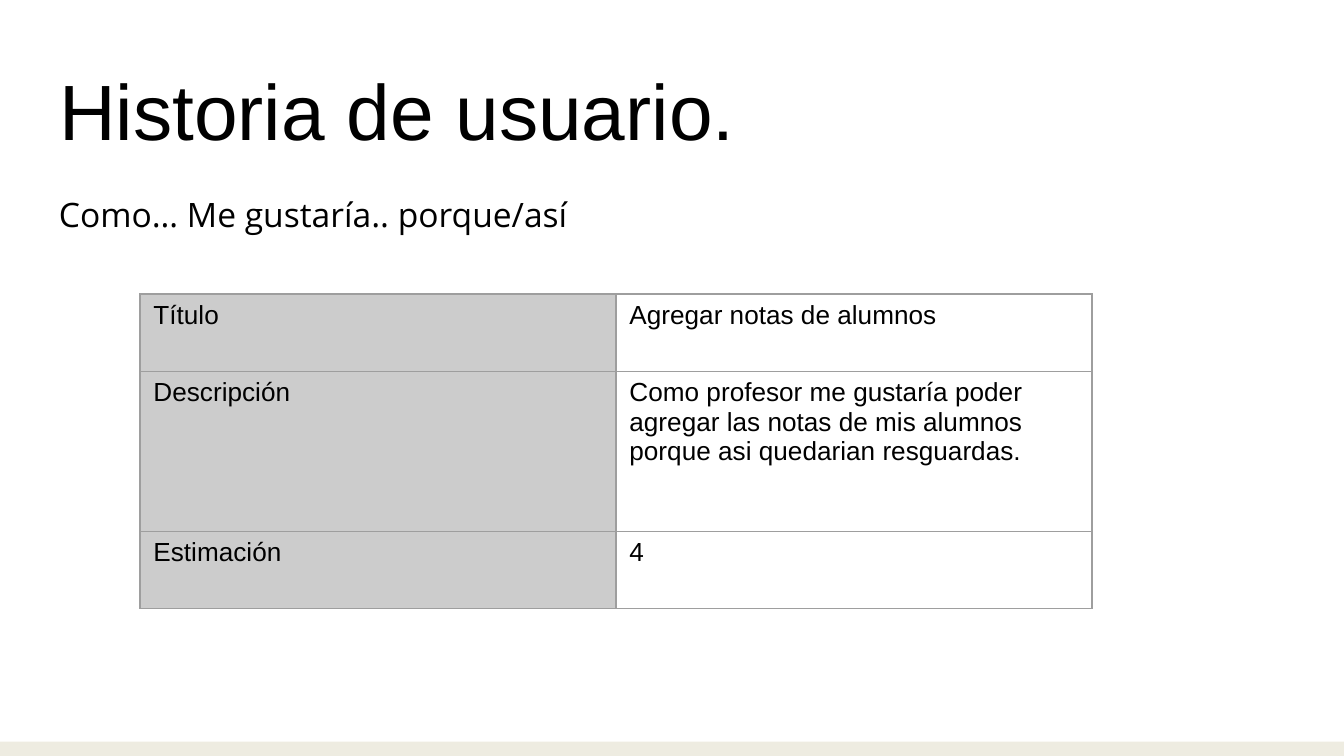
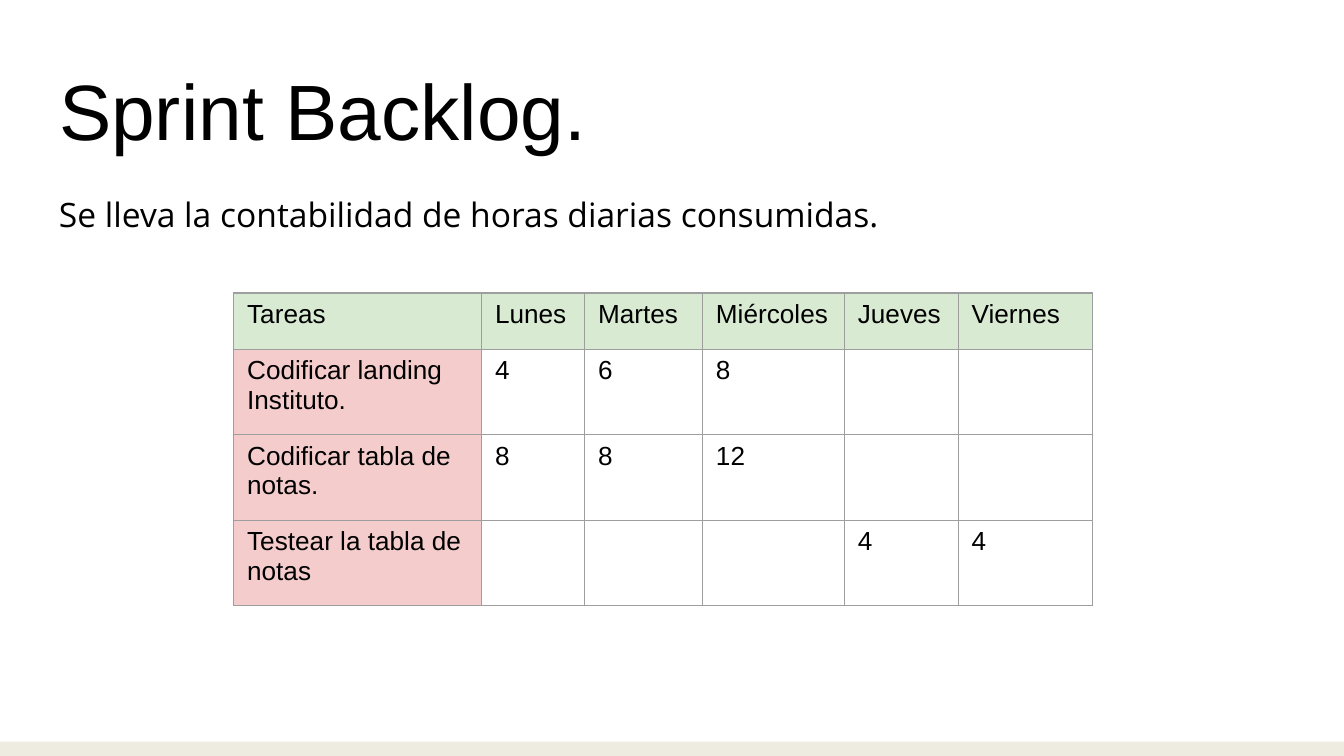
from lxml import etree
from pptx import Presentation
from pptx.dml.color import RGBColor
from pptx.enum import shapes, text
from pptx.oxml import ns
from pptx.util import Pt

COLORS = {
    "text": "000000",
    "band": "EEECE1",
    "border": "9E9E9E",
    "label": "CCCCCC",
    "day": "D9EAD3",
    "task": "F4CCCC",
}
HEADING_FONT, BODY_FONT = "Arial", "Open Sans"
SLIDE_WIDTH, SLIDE_HEIGHT = 720, 405
BAND_HEIGHT = 7.75
TITLE_BOX = (24.5, 25.2, 671, 65.5)
SUBTITLE_BOX = (24.5, 96.5, 671, 264)

STORY_ROWS = [
    ["Título", "Agregar notas de alumnos"],
    ["Descripción", "Como profesor me gustaría poder agregar las notas de mis "
                    "alumnos porque asi quedarian resguardas."],
    ["Estimación", "4"],
]
BACKLOG_ROWS = [
    ["Tareas", "Lunes", "Martes", "Miércoles", "Jueves", "Viernes"],
    ["Codificar landing Instituto.", "4", "6", "8", "", ""],
    ["Codificar tabla de notas.", "8", "8", "12", "", ""],
    ["Testear la tabla de notas", "", "", "", "4", "4"],
]


def rgb(name):
    return RGBColor.from_string(COLORS[name])


def write_text(text_frame, content, size, font):
    text_frame.word_wrap = True
    text_frame.text = content
    paragraph = text_frame.paragraphs[0]
    paragraph.alignment = text.PP_ALIGN.LEFT
    for run in paragraph.runs:
        run.font.size = Pt(size)
        run.font.name = font
        run.font.color.rgb = rgb("text")


def set_margins(frame, horizontal, vertical):
    """Set the insets of a text frame or a table cell."""
    frame.margin_left = frame.margin_right = Pt(horizontal)
    frame.margin_top = frame.margin_bottom = Pt(vertical)


def add_band(slide, left, top, width, height):
    band = slide.shapes.add_shape(
        shapes.MSO_SHAPE.RECTANGLE, Pt(left), Pt(top), Pt(width), Pt(height))
    band.shadow.inherit = False
    band.fill.solid()
    band.fill.fore_color.rgb = rgb("band")
    band.line.fill.background()


def place_title(slide, content, left, top, width, height):
    title = slide.shapes.title
    title.left, title.top = Pt(left), Pt(top)
    title.width, title.height = Pt(width), Pt(height)
    text_frame = title.text_frame
    write_text(text_frame, content, 42, HEADING_FONT)
    set_margins(text_frame, 7.2, 7.2)
    text_frame.auto_size = text.MSO_AUTO_SIZE.NONE
    text_frame.vertical_anchor = text.MSO_ANCHOR.BOTTOM


def add_subtitle(slide, content, left, top, width, height):
    box = slide.shapes.add_textbox(Pt(left), Pt(top), Pt(width), Pt(height))
    write_text(box.text_frame, content, 18, BODY_FONT)
    set_margins(box.text_frame, 7.2, 7.2)


def add_borders(cell):
    properties = cell._tc.get_or_add_tcPr()
    for side in ("a:lnL", "a:lnR", "a:lnT", "a:lnB"):
        line = etree.SubElement(properties, ns.qn(side), w=str(Pt(0.75)))
        fill = etree.SubElement(line, ns.qn("a:solidFill"))
        etree.SubElement(fill, ns.qn("a:srgbClr"), val=COLORS["border"])


def add_grid(slide, rows, left, top, widths, heights, fill_name):
    """Add a table; fill_name(row, column) gives a colour name or None."""
    frame = slide.shapes.add_table(
        len(heights), len(widths), Pt(left), Pt(top),
        Pt(sum(widths)), Pt(sum(heights)))
    table = frame.table
    table.first_row = table.horz_banding = False
    for column, width in zip(table.columns, widths):
        column.width = Pt(width)
    for row, height in zip(table.rows, heights):
        row.height = Pt(height)

    for row_index, row in enumerate(rows):
        for column_index, content in enumerate(row):
            cell = table.cell(row_index, column_index)
            set_margins(cell, 7.2, 3.6)
            write_text(cell.text_frame, content, 14, HEADING_FONT)
            add_borders(cell)
            name = fill_name(row_index, column_index)
            if name:
                cell.fill.solid()
                cell.fill.fore_color.rgb = rgb(name)
            else:
                cell.fill.background()


def story_fill(row, column):
    return "label" if column == 0 else None


def backlog_fill(row, column):
    if row == 0:
        return "day"
    return "task" if column == 0 else None


def add_content_slide(presentation, title, subtitle):
    """Add a slide with the shared band, title and subtitle."""
    slide = presentation.slides.add_slide(
        presentation.slide_layouts.get_by_name("Title Only"))
    add_band(slide, 0, SLIDE_HEIGHT - BAND_HEIGHT, SLIDE_WIDTH, BAND_HEIGHT)
    place_title(slide, title, *TITLE_BOX)
    add_subtitle(slide, subtitle, *SUBTITLE_BOX)
    return slide


def main():
    presentation = Presentation()
    presentation.slide_width = Pt(SLIDE_WIDTH)
    presentation.slide_height = Pt(SLIDE_HEIGHT)

    story = add_content_slide(
        presentation, "Historia de usuario.", "Como… Me gustaría.. porque/así")
    add_grid(story, STORY_ROWS, 75, 157.5, [255] * 2, [41.5, 85.7, 41.5],
             story_fill)

    backlog = add_content_slide(
        presentation, "Sprint Backlog.",
        "Se lleva la contabilidad de horas diarias consumidas.")
    add_grid(backlog, BACKLOG_ROWS, 125.2, 157, [132.8, 55.2, 63.2, 76, 61, 72],
             [30.2] + [45.8] * 3, backlog_fill)

    presentation.save("out.pptx")


if __name__ == "__main__":
    main()
